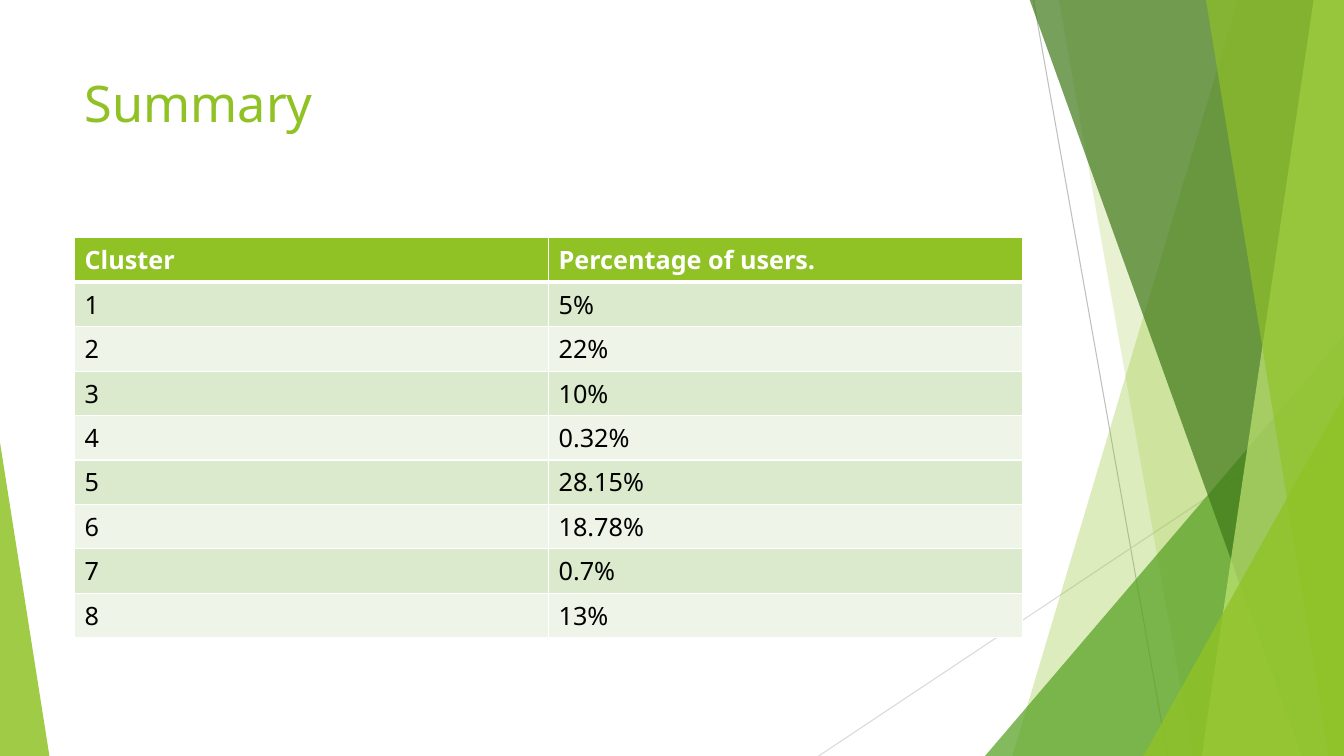
"""Build the cluster summary slide with its faceted green border."""
from pptx import Presentation
from pptx.dml.color import RGBColor
from pptx.enum import shapes, text
from pptx.oxml import parse_xml
from pptx.oxml.ns import nsdecls
from pptx.util import Inches, Pt

COLOURS = {
    "lime": "90C226", "pale lime": "C0E474", "green": "54A021", "forest": "3F7819",
    "dark band": "DBE9CD", "light band": "EEF4E8",
    "grey": "BFBFBF", "light grey": "D9D9D9", "white": "FFFFFF", "black": "000000",
}
FONT = "Noto Sans"
WIDTH, HEIGHT, TOP = 13.33, 7.5, -0.01


def colour(name):
    return RGBColor.from_string(COLOURS[name])


def paint_facet(facet, name, opacity):
    facet.shadow.inherit = False
    facet.line.fill.background()
    facet.fill.solid()
    facet.fill.fore_color.rgb = colour(name)
    tint = facet.fill._xPr.solidFill[0]
    tint.append(parse_xml(f'<a:alpha {nsdecls("a")} val="{opacity * 1000}"/>'))


prs = Presentation()
prs.slide_width, prs.slide_height = Inches(WIDTH), Inches(HEIGHT)
slide = prs.slides.add_slide(prs.slide_layouts[5])

for x1, y1, x2, y2, name in [
    (10.25, 0, 11.58, HEIGHT, "grey"),
    (WIDTH, 4.03, 8.12, HEIGHT, "light grey"),
]:
    ray = slide.shapes.add_connector(
        shapes.MSO_CONNECTOR.STRAIGHT, Inches(x1), Inches(y1), Inches(x2), Inches(y2))
    ray.line.color.rgb = colour(name)
    ray.line.width = Pt(0.75)
    ray._element.spPr.append(parse_xml(f'<a:effectLst {nsdecls("a")}/>'))

bands = [
    (12.28, 10.04, "lime", 30),
    (10.5, 11.83, "lime", 20),
    (10.21, 12.91, "forest", 70),
    (13.03, 11.92, "pale lime", 70),
    (11.96, 13.18, "lime", 65),
]
corners = [
    (9.77, 3.33, 3.56, 1, "green", 72),
    (11.34, 3.93, 1.99, 1, "lime", 80),
    (0, 4.39, 0.49, 0, "lime", 85),
]
for facet in bands[:2] + corners[:1] + bands[2:] + corners[1:]:
    if len(facet) == 4:
        top_x, bottom_x, name, opacity = facet
        outline = slide.shapes.build_freeform(Inches(top_x), Inches(TOP))
        outline.add_line_segments([
            (Inches(x), Inches(y))
            for x, y in [(WIDTH, TOP), (WIDTH, HEIGHT), (bottom_x, HEIGHT)]])
        band = outline.convert_to_shape()
        paint_facet(band, name, opacity)
    else:
        left, top, width, apex, name, opacity = facet
        corner = slide.shapes.add_shape(
            shapes.MSO_SHAPE.ISOSCELES_TRIANGLE, Inches(left), Inches(top),
            Inches(width), Inches(HEIGHT - top))
        corner.adjustments[0] = apex
        paint_facet(corner, name, opacity)

title = slide.shapes.title
title.left, title.top = Inches(0.74), Inches(0.67)
title.width, title.height = Inches(9.4), Inches(1.44)
title.text_frame.text = "Summary"
title.text_frame.vertical_anchor = text.MSO_ANCHOR.TOP
heading = title.text_frame.paragraphs[0]
heading.alignment = text.PP_ALIGN.LEFT
heading.font.name, heading.font.size = FONT, Pt(36)
heading.font.color.rgb = colour("lime")

shares = ["5%", "22%", "10%", "0.32%", "28.15%", "18.78%", "0.7%", "13%"]
rows = [("Cluster", "Percentage of users.")]
rows += [(str(number), share) for number, share in enumerate(shares, 1)]
clusters = slide.shapes.add_table(
    len(rows), 2, Inches(0.74), Inches(2.36), Inches(9.4), Inches(3.65)).table
for r, row in enumerate(rows):
    if r == 0:
        band_name, ink = "lime", "white"
    else:
        band_name, ink = "dark band" if r % 2 else "light band", "black"
    for c, value in enumerate(row):
        cell = clusters.cell(r, c)
        cell.text = value
        font = cell.text_frame.paragraphs[0].font
        font.name, font.size, font.bold = FONT, Pt(18), r == 0
        font.color.rgb = colour(ink)
        for side in "LRTB":
            thick = (r, side) in [(0, "B"), (1, "T")]
            cell._tc.get_or_add_tcPr().append(parse_xml(
                f'<a:ln{side} {nsdecls("a")} w="{Pt(3 if thick else 1)}"><a:solidFill>'
                f'<a:srgbClr val="{COLOURS["white"]}"/></a:solidFill></a:ln{side}>'))
        cell.fill.solid()
        cell.fill.fore_color.rgb = colour(band_name)

prs.save("out.pptx")
